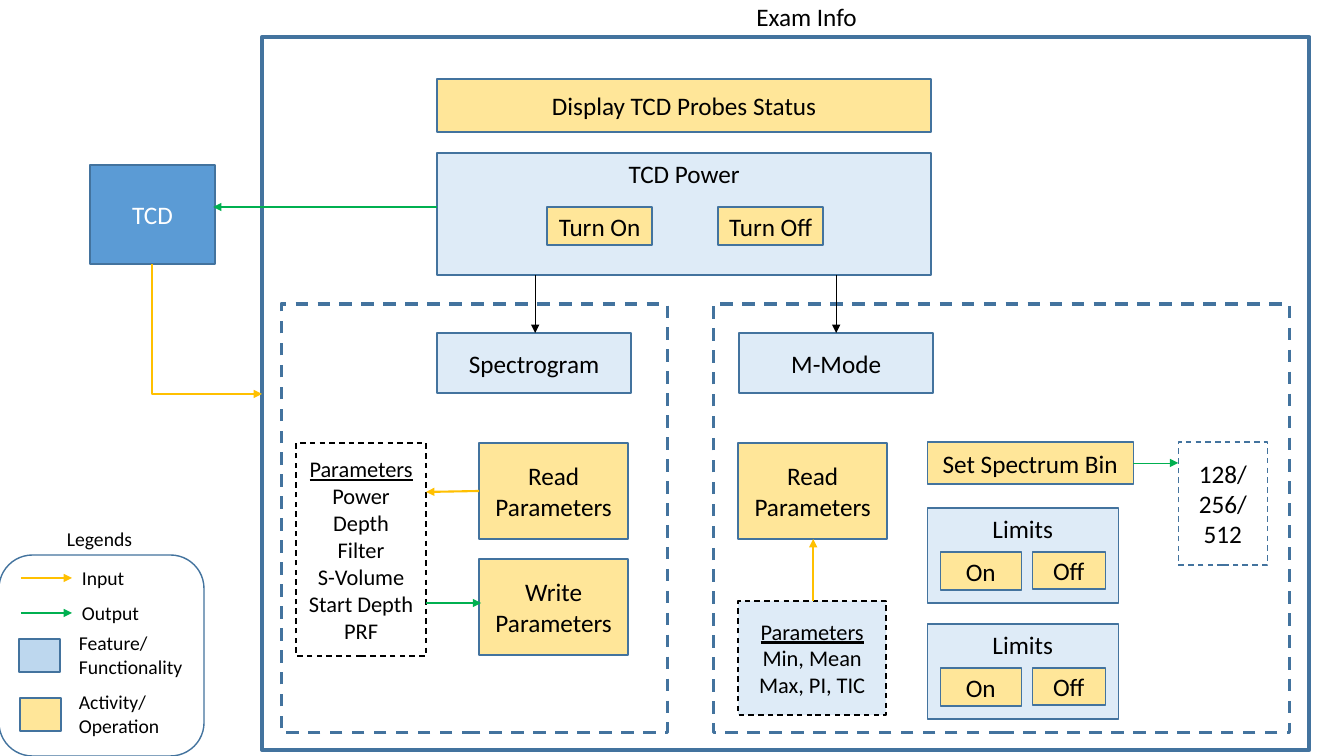
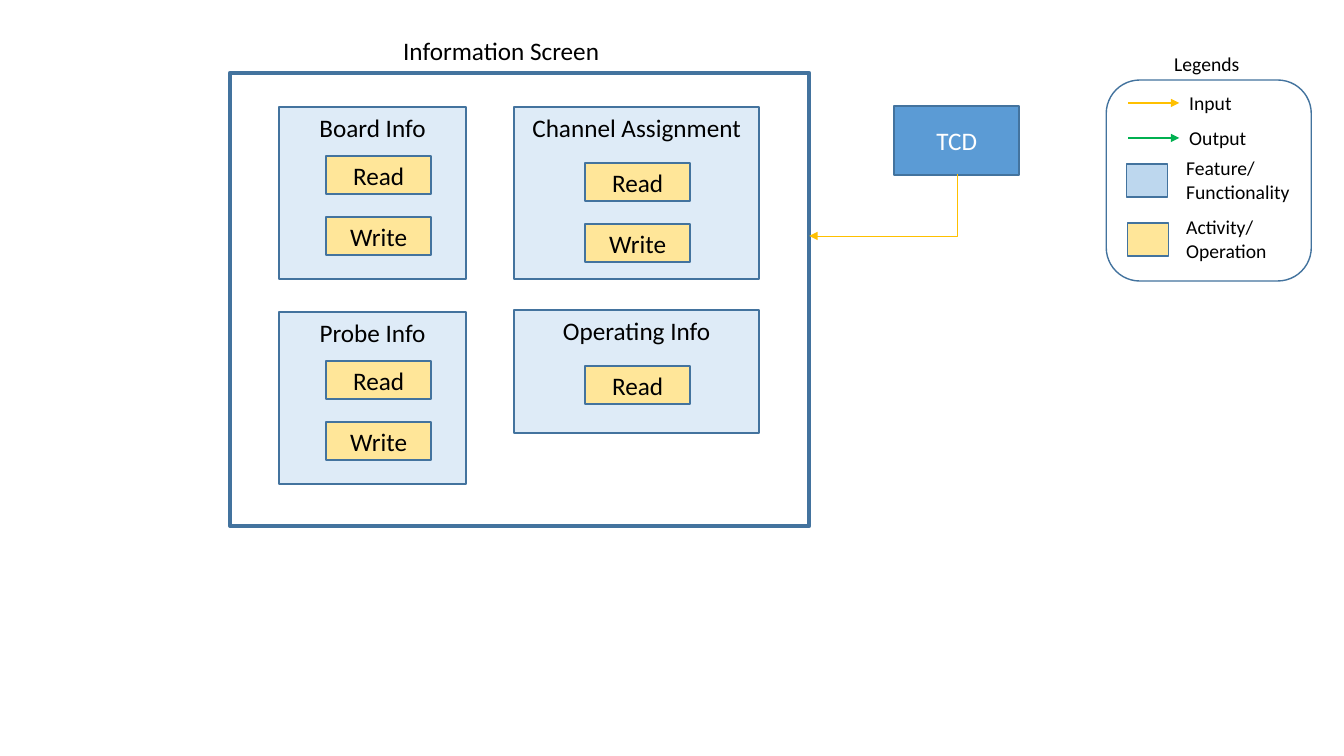
from pptx import Presentation
from pptx.dml.color import RGBColor
from pptx.enum.dml import MSO_LINE
from pptx.enum.shapes import MSO_CONNECTOR, MSO_SHAPE
from pptx.enum.text import MSO_ANCHOR, MSO_AUTO_SIZE, PP_ALIGN
from pptx.oxml.ns import qn
from pptx.oxml.xmlchemy import OxmlElement
from pptx.util import Emu, Inches, Pt

FONT = "Calibri"
BLUE, BLACK, WHITE = "43739E", "000000", "FFFFFF"
YELLOW, GREEN = "FFC000", "00B050"
PALE, SKY, SAND, DEVICE = "DEEBF7", "BDD7EE", "FFE699", "5B9BD5"

# Box styles; anything left out comes from the base style
BASE = dict(fill=None, line=BLUE, width=1, dash=False, size=18,
            color=BLACK, anchor=MSO_ANCHOR.MIDDLE, underline_first=False)
STYLES = {
    "screen": dict(width=3),
    "region": dict(width=2.25, dash=True),
    "device": dict(fill=DEVICE, color=WHITE),
    "feature": dict(fill=PALE),
    "panel": dict(fill=PALE, anchor=MSO_ANCHOR.TOP),
    "action": dict(fill=SAND),
    "choices": dict(dash=True),
    "inputs": dict(line=BLACK, dash=True, size=16, underline_first=True),
    "readings": dict(fill=PALE, line=BLACK, dash=True, size=16, underline_first=True),
    "legend": dict(),
    "feature key": dict(fill=SKY),
    "activity key": dict(fill=SAND),
}

# Exam screen: style, text, (left, top, width, height)
EXAM_BOXES = [
    ("screen", "", (262, 37, 1047, 713)),
    ("action", "Display TCD Probes Status", (437, 79, 494, 53)),
    ("panel", "TCD Power", (437, 153, 494, 122)),
    ("action", "Turn On", (547, 207, 105, 38)),
    ("action", "Turn Off", (718, 207, 105, 38)),
    ("feature", "Spectrogram", (437, 333, 194, 60)),
    ("feature", "M-Mode", (739, 333, 194, 60)),
    ("choices", "128/\n256/\n512", (1178, 442, 89, 123)),
    ("device", "TCD", (90, 165, 125, 99)),
    ("inputs", "Parameters\nPower\nDepth\nFilter\nS-Volume\nStart Depth\nPRF",
     (296, 443, 130, 213)),
    ("action", "Read Parameters", (479, 443, 149, 96)),
    ("action", "Write\nParameters", (479, 559, 149, 96)),
    ("action", "Read Parameters", (738, 443, 149, 96)),
    ("readings", "Parameters\nMin, Mean\nMax, PI, TIC", (738, 601, 148, 114)),
    ("action", "Set Spectrum Bin", (927, 442, 206, 42)),
    ("region", "", (281, 304, 386, 429)),
    ("region", "", (713, 304, 576, 429)),
]
LIMITS_LEFT, LIMITS_TOPS = 927, (508, 624)

# Arrows: start, end, colour, width
EXAM_ARROWS = [
    ((426, 603), (481, 603), GREEN, 1.5),
    ((479, 491), (426, 492), YELLOW, 1.5),
    ((836, 275), (836, 333), BLACK, 0.5),
    ((535, 275), (535, 333), BLACK, 0.5),
    ((1133, 463), (1178, 463), GREEN, 0.5),
    ((437, 207), (213, 207), GREEN, 1.5),
    ((813, 601), (813, 539), YELLOW, 1.5),
]

# Information screen: panel title, place, offset of first button, buttons
INFO_BOXES = [
    ("screen", "", (230, 73, 579, 453)),
    ("device", "TCD", (894, 106, 125, 69)),
]
INFO_PANELS = [
    ("Board Info", (279, 107, 187, 172), (47, 49), ("Read", "Write")),
    ("Probe Info", (279, 312, 187, 172), (47, 49), ("Read", "Write")),
    ("Channel Assignment", (514, 107, 245, 172), (71, 56), ("Read", "Write")),
    ("Operating Info", (514, 310, 245, 123), (71, 56), ("Read",)),
]
BUTTON_STEP = 61

# Legend, measured from the corner of its rounded frame
LEGEND_LABELS = [
    ("Legends", (58, -33, 87, 34)),
    ("Input", (73, 6, 63, 34)),
    ("Output", (73, 41, 79, 34)),
    ("Feature/\nFunctionality", (70, 71, 125, 57)),
    ("Activity/\nOperation", (70, 130, 102, 57)),
]
LEGEND_KEYS = [("feature key", (20, 84, 41, 33)), ("activity key", (21, 143, 41, 33))]
LEGEND_ARROWS = [(23, YELLOW), (58, GREEN)]


def px(pixels):
    return Emu(round(pixels * 914400 / 100.8))


def rgb(code):
    return RGBColor.from_string(code)


def shift(place, left, top):
    return (place[0] + left, place[1] + top, *place[2:])


def write(frame, text, size, color=BLACK, align=PP_ALIGN.LEFT, underline_first=False):
    frame.text = text
    for index, para in enumerate(frame.paragraphs):
        para.alignment = align
        para.font.name, para.font.size = FONT, Pt(size)
        para.font.color.rgb = rgb(color)
        if underline_first and index == 0:
            para.font.underline = True


def add_box(shapes, style, text, place, preset=MSO_SHAPE.RECTANGLE):
    look = {**BASE, **STYLES[style]}
    box = shapes.add_shape(preset, *map(px, place))
    box.shadow.inherit = False
    if look["fill"]:
        box.fill.solid()
        box.fill.fore_color.rgb = rgb(look["fill"])
    else:
        box.fill.background()
    box.line.color.rgb = rgb(look["line"])
    box.line.width = Pt(look["width"])
    if look["dash"]:
        box.line.dash_style = MSO_LINE.DASH
    if text:
        box.text_frame.vertical_anchor = look["anchor"]
        write(box.text_frame, text, look["size"], look["color"],
              PP_ALIGN.CENTER, look["underline_first"])


def add_label(shapes, text, place):
    label = shapes.add_textbox(*map(px, place))
    label.text_frame.word_wrap = False
    write(label.text_frame, text, 14)


def add_arrow(shapes, start, end, color, width, kind=MSO_CONNECTOR.STRAIGHT):
    arrow = shapes.add_connector(kind, *map(px, (*start, *end)))
    arrow.line.color.rgb = rgb(color)
    arrow.line.width = Pt(width)
    properties = arrow._element.spPr
    head = OxmlElement("a:tailEnd")
    head.set("type", "triangle")
    properties.find(qn("a:ln")).append(head)
    properties.append(OxmlElement("a:effectLst"))
    return arrow


def add_corner_arrow(shapes, start, end, color, width):
    """Run down from start, then sideways to end: a turned two-part elbow."""
    across, down = end[0] - start[0], end[1] - start[1]
    left = (start[0] + end[0] - down) / 2
    top = (start[1] + end[1] - abs(across)) / 2
    arrow = add_arrow(shapes, (left, top), (left + down, top + abs(across)),
                      color, width, MSO_CONNECTOR.ELBOW)
    properties = arrow._element.spPr
    properties.find(qn("a:prstGeom")).set("prst", "bentConnector2")
    frame = properties.find(qn("a:xfrm"))
    frame.set("rot", str((270 if across > 0 else 90) * 60000))
    if across > 0:
        frame.set("flipH", "1")


def add_legend(page, left, top):
    shapes = page.shapes.add_group_shape().shapes
    add_box(shapes, "legend", "", (left, top, 205, 201), MSO_SHAPE.ROUNDED_RECTANGLE)
    for text, place in LEGEND_LABELS:
        add_label(shapes, text, shift(place, left, top))
    for style, place in LEGEND_KEYS:
        add_box(shapes, style, "", shift(place, left, top))
    for drop, color in LEGEND_ARROWS:
        add_arrow(shapes, (left + 22, top + drop), (left + 73, top + drop), color, 1.5)


def add_page(deck, title, place, boxes, legend_corner):
    page = deck.slides.add_slide(deck.slide_layouts[5])
    heading = page.shapes.title
    heading.left, heading.top, heading.width, heading.height = map(px, place)
    frame = heading.text_frame
    frame.word_wrap, frame.auto_size = False, MSO_AUTO_SIZE.NONE
    frame.vertical_anchor = MSO_ANCHOR.TOP
    write(frame, title, 18)
    add_legend(page, *legend_corner)
    for box in boxes:
        add_box(page.shapes, *box)
    return page.shapes


deck = Presentation()
deck.slide_width, deck.slide_height = Inches(13.33), Inches(7.5)

# Exam screen
shapes = add_page(deck, "Exam Info", (746, -4, 122, 40), EXAM_BOXES, (-1, 555))
for top in LIMITS_TOPS:
    add_box(shapes, "panel", "Limits", (LIMITS_LEFT, top, 191, 95))
    add_box(shapes, "action", "On", (LIMITS_LEFT + 13, top + 44, 81, 38))
    add_box(shapes, "action", "Off", (LIMITS_LEFT + 105, top + 44, 73, 37))
for arrow in EXAM_ARROWS:
    add_arrow(shapes, *arrow)
add_corner_arrow(shapes, (152, 264), (262, 394), YELLOW, 1.5)

# Information screen
shapes = add_page(deck, "Information Screen", (393, 30, 219, 40), INFO_BOXES, (1106, 80))
for title, place, (inset, drop), buttons in INFO_PANELS:
    add_box(shapes, "panel", title, place)
    for index, text in enumerate(buttons):
        add_box(shapes, "action", text,
                (place[0] + inset, place[1] + drop + index * BUTTON_STEP, 105, 38))
add_corner_arrow(shapes, (957, 174), (809, 236), YELLOW, 0.5)

deck.save("out.pptx")
